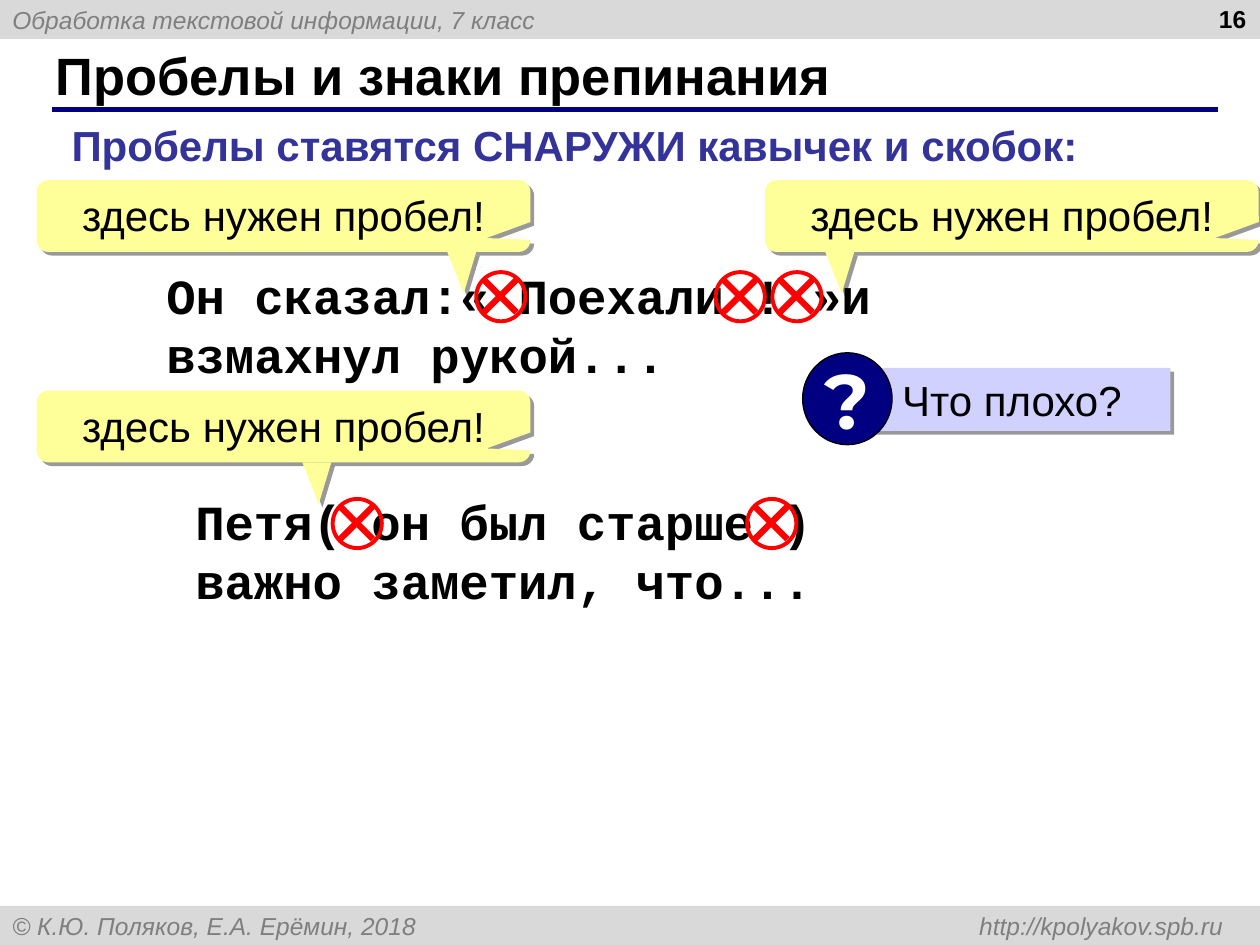
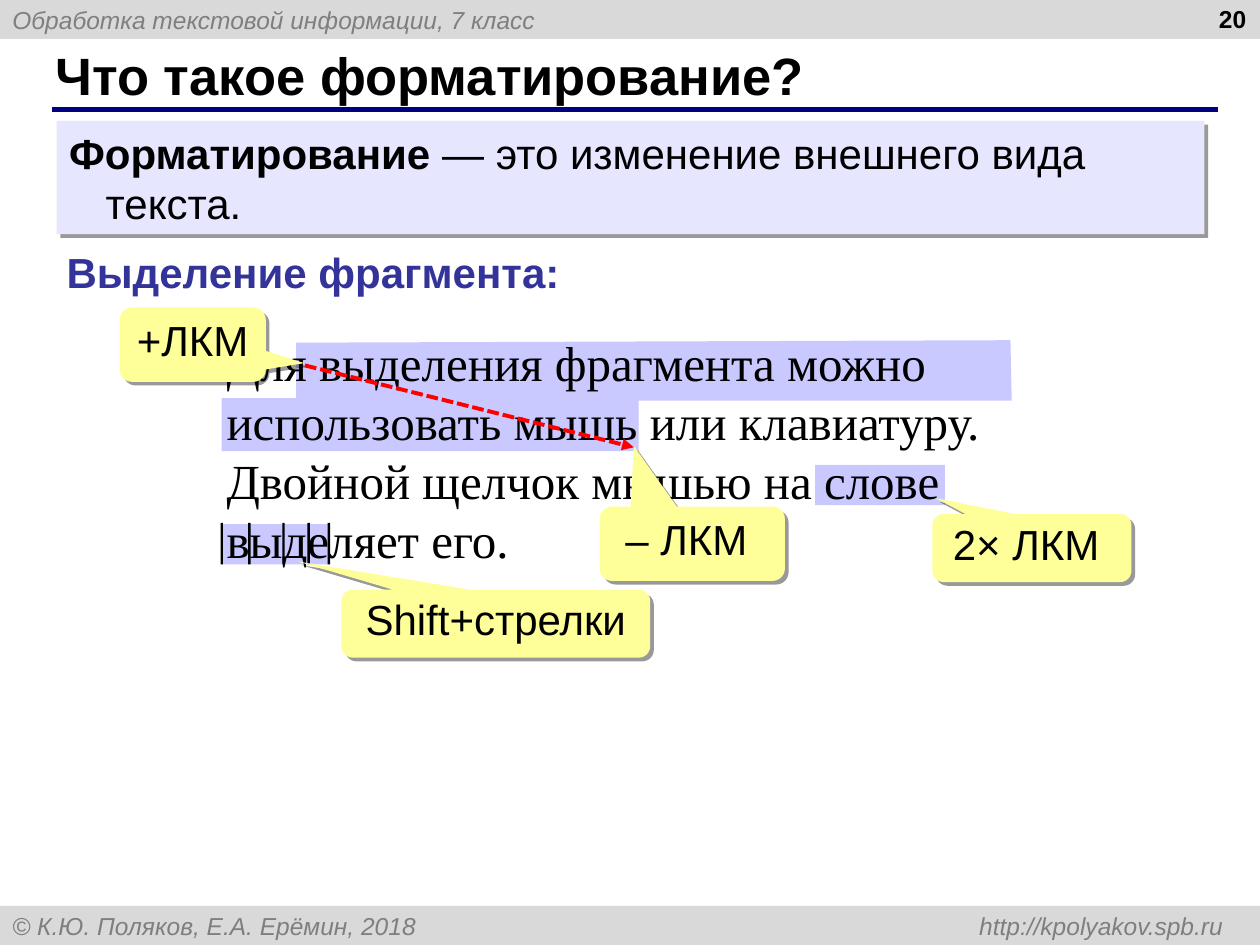
from lxml import etree
from pptx import Presentation
from pptx.dml.color import RGBColor
from pptx.enum.dml import MSO_LINE
from pptx.enum.shapes import MSO_CONNECTOR, MSO_SHAPE
from pptx.enum.text import MSO_ANCHOR, MSO_AUTO_SIZE, PP_ALIGN
from pptx.oxml.ns import qn
from pptx.util import Inches, Pt

RECTANGLE, OVAL = MSO_SHAPE.RECTANGLE, MSO_SHAPE.OVAL
CALLOUT, CROSS = MSO_SHAPE.ROUNDED_RECTANGULAR_CALLOUT, MSO_SHAPE.MATH_MULTIPLY
LEFT, CENTER, RIGHT = PP_ALIGN.LEFT, PP_ALIGN.CENTER, PP_ALIGN.RIGHT
TOP, MIDDLE = MSO_ANCHOR.TOP, MSO_ANCHOR.MIDDLE

BLACK, WHITE, RED, NAVY = "000000", "FFFFFF", "FF0000", "000080"
BAND, BAND_TEXT, HEADING = "D9D9D9", "7F7F7F", "333399"
YELLOW, QUESTION_FILL = "FFFF99", "D1D1FF"
DEFINITION_FILL, SELECTION = "E6E6FF", "C9C9FF"

HEADER = "Обработка текстовой информации, 7 класс"
FOOTER = "© К.Ю. Поляков, Е.А. Ерёмин, 2018 \thttp://kpolyakov.spb.ru"

# Slide 16: sentences with (left, top), hints with (left, top, tail left)
SPACES_TITLE = "Пробелы и знаки препинания"
SPACES_HEADING = "Пробелы ставятся СНАРУЖИ кавычек и скобок:"
SENTENCES = [
    ("Он сказал:« Поехали ! »и взмахнул рукой...", 1.32, 2.11),
    ("Петя( он был старше ) важно заметил, что...", 1.55, 3.9),
]
HINT = "здесь нужен пробел!"
HINTS = [(0.29, 1.43, 3.55), (6.07, 1.43, 6.55), (0.29, 3.1, 2.4)]
WRONG_SPACES = [(3.97, 2.35), (5.87, 2.35), (6.32, 2.35), (2.83, 4.15), (6.12, 4.15)]
QUESTION = "Что плохо?"

# Slide 20: callouts with box and tail tip offsets
FORMAT_TITLE = "Что такое форматирование?"
DEFINITION = [("Форматирование ", True), ("— это изменение внешнего вида текста.", False)]
FORMAT_HEADING = "Выделение фрагмента:"
SAMPLE = ("Для выделения фрагмента можно использовать мышь или клавиатуру. "
          "Двойной щелчок мышью на слове выделяет его.")
SELECTED_LINES = [(2.35, 2.72), (2.35, 3.16), (1.76, 3.16), (1.76, 3.58),
                  (5.07, 3.58), (5.07, 3.18), (8.03, 3.18), (8.02, 2.7)]
SELECTED_WORD = (6.47, 3.69, 1.03, 0.32)
CURSORS = [1.75, 1.97, 2.24, 2.44, 2.6]
MOUSE_CALLOUTS = [
    ("+ЛКМ", (0.95, 2.44, 1.16, 0.59), (0.763, 0.249)),
    ("Shift+стрелки", (2.71, 4.68, 2.45, 0.54), (-0.641, -0.913)),
    ("2× ЛКМ ", (7.4, 4.08, 1.58, 0.54), (-0.482, -0.732)),
    ("– ЛКМ ", (4.76, 4.02, 1.47, 0.59), (-0.315, -1.313)),
]
DRAG_START, DRAG_END = (2.42, 2.9), (5.03, 3.55)


def color(hex_string):
    return RGBColor.from_string(hex_string)


def add_shadow(shape):
    effects = shape._element.spPr.find(qn("a:effectLst"))
    shadow = etree.SubElement(effects, qn("a:outerShdw"), dist=str(Pt(3)), dir="2700000",
                              algn="ctr", rotWithShape="0")
    tint = etree.SubElement(shadow, qn("a:srgbClr"), val=BLACK)
    etree.SubElement(tint, qn("a:alpha"), val="40000")


def paint(shape, fill=None, line=None, width=1, shadow=False):
    shape.shadow.inherit = False
    if fill:
        shape.fill.solid()
        shape.fill.fore_color.rgb = color(fill)
    else:
        shape.fill.background()
    if line:
        shape.line.color.rgb = color(line)
        shape.line.width = Pt(width)
    else:
        shape.line.fill.background()
    if shadow:
        add_shadow(shape)
    return shape


def add_box(slide, kind, box, **style):
    return paint(slide.shapes.add_shape(kind, *map(Inches, box)), **style)


def add_polygon(slide, points, **style):
    corners = [tuple(map(Inches, point)) for point in points]
    builder = slide.shapes.build_freeform(*corners[0], scale=1.0)
    builder.add_line_segments(corners[1:], close=True)
    return paint(builder.convert_to_shape(), **style)


def write(shape, text, size=24, font="Arial", ink=BLACK, bold=False, italic=False,
          align=LEFT, anchor=TOP, margins=(0.1, 0.05), wrap=True):
    """Fill a shape with one paragraph; text is a string or (text, bold) pairs."""
    frame = shape.text_frame
    frame.word_wrap = wrap
    frame.auto_size = MSO_AUTO_SIZE.NONE
    frame.vertical_anchor = anchor
    frame.margin_left = frame.margin_right = Inches(margins[0])
    frame.margin_top = frame.margin_bottom = Inches(margins[1])
    paragraph = frame.paragraphs[0]
    paragraph.alignment = align
    for part, part_bold in [(text, bold)] if isinstance(text, str) else text:
        run = paragraph.add_run()
        run.text = part
        run.font.size, run.font.name = Pt(size), font
        run.font.bold, run.font.italic = part_bold, italic
        run.font.color.rgb = color(ink)
    return paragraph


def add_text(slide, box, text, **style):
    return write(slide.shapes.add_textbox(*map(Inches, box)), text, **style)


def add_line(slide, start, end, ink, width):
    line = slide.shapes.add_connector(MSO_CONNECTOR.STRAIGHT, *map(Inches, start + end))
    line.line.color.rgb = color(ink)
    line.line.width = Pt(width)
    etree.SubElement(line._element.spPr, qn("a:effectLst"))
    return line


def add_callout(slide, box, tip):
    callout = add_box(slide, CALLOUT, box, fill=YELLOW, shadow=True)
    callout.adjustments[0], callout.adjustments[1] = tip
    return callout


def add_page(presentation, title, number):
    """Add a slide with the shared bands, title, rule and page number."""
    slide = presentation.slides.add_slide(presentation.slide_layouts[5])
    for top, text in ((0, HEADER), (7.19, FOOTER)):
        band = add_box(slide, RECTANGLE, (0, top, 10, 0.31), fill=BAND)
        paragraph = write(band, text, size=14, ink=BAND_TEXT, italic=True, anchor=MIDDLE)
    tabs = etree.SubElement(paragraph._p.get_or_add_pPr(), qn("a:tabLst"))
    etree.SubElement(tabs, qn("a:tab"), pos=str(Inches(9.61)), algn="r")
    add_line(slide, (0.41, 0.87), (9.67, 0.87), NAVY, 3)
    heading = slide.shapes.title
    heading.left, heading.top, heading.width, heading.height = map(
        Inches, (0.34, 0.33, 9.16, 0.52))
    write(heading, title, size=30, bold=True, anchor=MIDDLE)
    add_text(slide, (7.66, -0.02, 2.33, 0.52), str(number), size=14, bold=True, align=RIGHT)
    return slide


def add_hint(slide, left, top, tail):
    callout = add_callout(slide, (left, top, 3.92, 0.57), (0.411, 0.306))
    write(callout, HINT, align=CENTER)
    base = top + 0.57
    add_polygon(slide, [(tail, base), (tail + 0.13, base + 0.33), (tail + 0.23, base)],
                fill=YELLOW, shadow=True)


def add_wrong_space_mark(slide, x, y):
    cross = add_box(slide, CROSS, (x - 0.25, y - 0.25, 0.5, 0.5), fill=RED)
    cross.adjustments[0] = 0.1
    add_box(slide, OVAL, (x - 0.19, y - 0.19, 0.39, 0.39), line=RED, width=2.25)


def add_question(slide):
    box = add_box(slide, RECTANGLE, (6.88, 2.92, 2.41, 0.5), fill=QUESTION_FILL, shadow=True)
    write(box, QUESTION, margins=(0.28, 0.05))
    badge = add_box(slide, OVAL, (6.37, 2.8, 0.71, 0.73), fill=NAVY, line=BLACK, width=0.75)
    write(badge, "?", size=44, font="Montserrat", ink=WHITE, bold=True,
          align=CENTER, anchor=MIDDLE, wrap=False)


def build_spaces_slide(presentation):
    slide = add_page(presentation, SPACES_TITLE, 16)
    add_text(slide, (0.47, 0.9, 8.2, 0.5), SPACES_HEADING, ink=HEADING, bold=True)
    for sentence, left, top in SENTENCES:
        box = add_box(slide, RECTANGLE, (left, top, 5.99, 1.24), fill=WHITE)
        write(box, sentence, size=28, font="Courier New", bold=True, margins=(0, 0))
    for hint in HINTS:
        add_hint(slide, *hint)
    for center in WRONG_SPACES:
        add_wrong_space_mark(slide, *center)
    add_question(slide)


def build_formatting_slide(presentation):
    slide = add_page(presentation, FORMAT_TITLE, 20)
    for left, right in zip(CURSORS, CURSORS[1:]):
        add_box(slide, RECTANGLE, (left + 0.01, 4.16, right - left, 0.32), fill=SELECTION)
    add_box(slide, RECTANGLE, SELECTED_WORD, fill=SELECTION)
    add_polygon(slide, SELECTED_LINES, fill=SELECTION)

    definition = add_box(slide, RECTANGLE, (0.45, 0.96, 9.11, 0.9),
                         fill=DEFINITION_FILL, shadow=True)
    properties = write(definition, DEFINITION)._p.get_or_add_pPr()
    properties.set("marL", str(Inches(0.29)))
    properties.set("indent", str(-Inches(0.29)))
    add_text(slide, (0.43, 1.91, 9.57, 0.5), FORMAT_HEADING, ink=HEADING, bold=True)
    add_text(slide, (1.7, 2.59, 6.53, 1.97), SAMPLE, size=28, font="Times New Roman")

    for left in CURSORS:
        add_box(slide, RECTANGLE, (left, 4.15, 0.02, 0.33), fill=BLACK)
    for text, box, tip in MOUSE_CALLOUTS:
        paragraph = write(add_callout(slide, box, tip), text, align=CENTER, anchor=MIDDLE)
        paragraph.line_spacing = 0.8
    drag = add_line(slide, DRAG_START, DRAG_END, RED, 2.25)
    drag.line.dash_style = MSO_LINE.SQUARE_DOT
    etree.SubElement(drag.line._get_or_add_ln(), qn("a:tailEnd"), type="triangle")


def main():
    presentation = Presentation()
    presentation.slide_width, presentation.slide_height = Inches(10), Inches(7.5)
    build_spaces_slide(presentation)
    build_formatting_slide(presentation)
    presentation.save("out.pptx")


if __name__ == "__main__":
    main()
